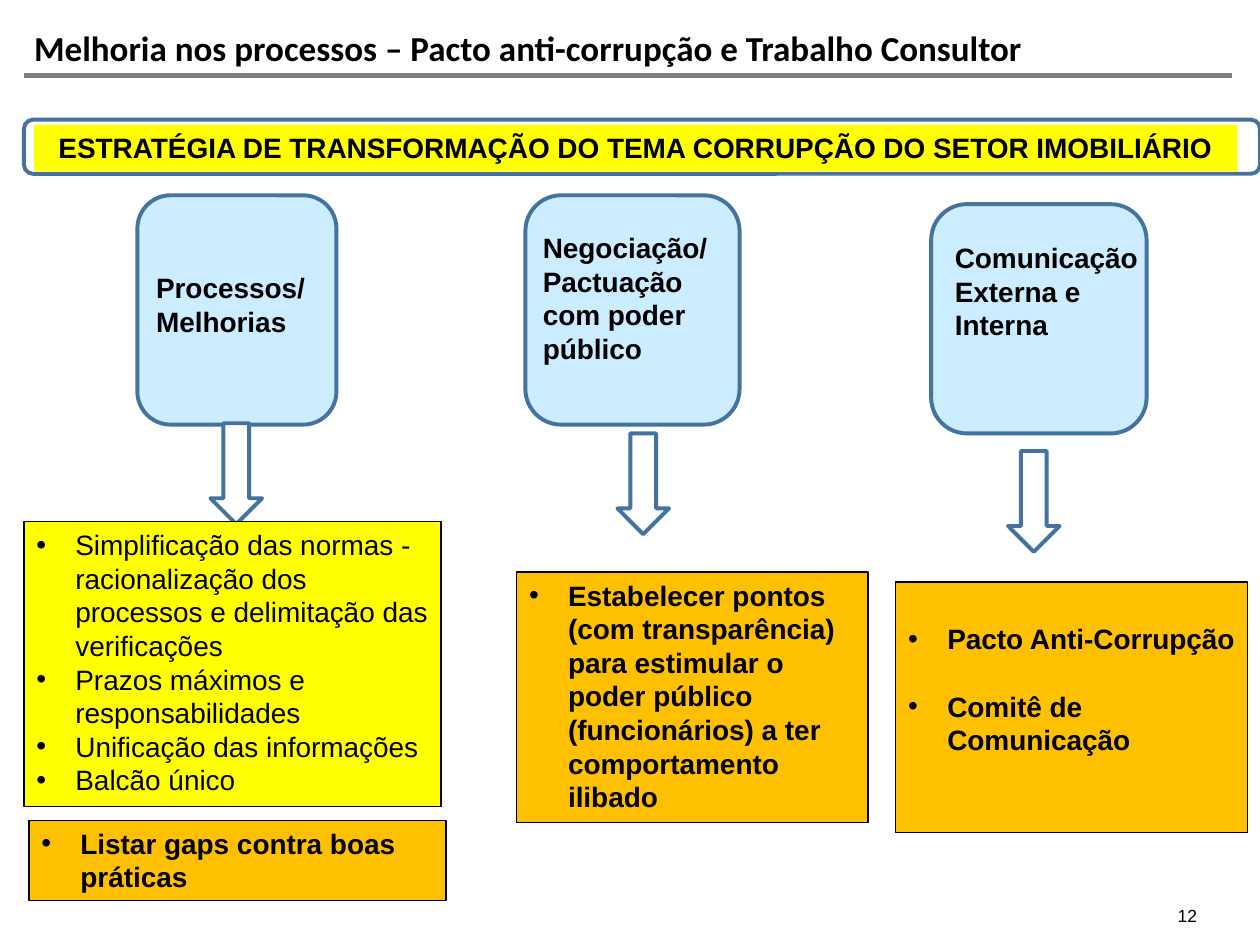
from lxml.etree import SubElement
from pptx import Presentation
from pptx.dml.color import RGBColor
from pptx.enum.shapes import MSO_CONNECTOR as Line, MSO_SHAPE as Shape
from pptx.enum.text import MSO_ANCHOR as Anchor, PP_ALIGN as Align
from pptx.oxml.ns import qn
from pptx.util import Inches, Pt

COLORS = {"black": "000000", "white": "FFFFFF", "gray": "808080", "edge": "43739E",
          "sky": "CCECFF", "yellow": "FFFF00", "orange": "FFC000"}
TITLE = "Melhoria nos processos – Pacto anti-corrupção e Trabalho Consultor"
BANNER = "ESTRATÉGIA DE TRANSFORMAÇÃO DO TEMA CORRUPÇÃO DO SETOR IMOBILIÁRIO"
PAGE_NUMBER = "12"
CARD_HEIGHT = 1.82
ARROW_SIZE = (0.41, 0.8)
INDENT = 0.31
LINE_GAP = 19.2

PILLARS = [
    {"label": "Processos/ Melhorias", "card": (1.09, 1.55, 1.58),
     "label_at": (1.14, 2.1, 1.62, 0.64), "arrow": (1.67, 3.36)},
    {"label": "Negociação/ Pactuação com poder público", "card": (4.17, 1.55, 1.7),
     "label_at": (4.21, 1.78, 1.57, 1.18), "arrow": (4.9, 3.44)},
    {"label": "Comunicação Externa e Interna", "card": (7.39, 1.62, 1.71),
     "label_at": (7.48, 1.86, 1.67, 0.91), "arrow": (8, 3.58)},
]
ACTIONS = [
    {"at": (0.19, 4.14, 3.31, 2.26), "fill": "yellow", "bold": False, "items": [
        "Simplificação das normas - racionalização dos processos e delimitação das verificações",
        "Prazos máximos e responsabilidades",
        "Unificação das informações",
        "Balcão único"]},
    {"at": (4.1, 4.54, 2.79, 1.99), "fill": "orange", "bold": True, "items": [
        "Estabelecer pontos (com transparência) para estimular o poder público "
        "(funcionários) a ter comportamento ilibado"]},
    {"at": (7.11, 4.62, 2.79, 1.99), "fill": "orange", "bold": True,
     "top": 0.05 + LINE_GAP / 72, "gap": LINE_GAP,
     "items": ["Pacto Anti-Corrupção", "Comitê de Comunicação"]},
    {"at": (0.23, 6.51, 3.31, 0.64), "fill": "orange", "bold": True,
     "items": ["Listar gaps contra boas práticas"]},
]


def color(name):
    return RGBColor.from_string(COLORS[name])


def add_box(page, kind, at, fill, edge=None, width=2.25):
    box = page.shapes.add_shape(kind, *map(Inches, at))
    box.shadow.inherit = False
    box.fill.solid()
    box.fill.fore_color.rgb = color(fill)
    if edge:
        box.line.color.rgb = color(edge)
        box.line.width = Pt(width)
    else:
        box.line.fill.background()
    return box


def write(box, items, size=16, bold=True, font="Arial", align=Align.LEFT,
          bullets=False, gap=0, inset=None, anchor=Anchor.TOP):
    frame = box.text_frame
    frame.word_wrap = True
    frame.vertical_anchor = anchor
    if inset is not None:
        frame.margin_left = frame.margin_right = Inches(inset)
        frame.margin_top = frame.margin_bottom = Inches(inset)
    for index, text in enumerate(items):
        para = frame.add_paragraph() if index else frame.paragraphs[0]
        para.alignment = align
        para.space_before = Pt(gap if index else 0)
        if bullets:
            props = para._p.get_or_add_pPr()
            props.set("marL", str(Inches(INDENT)))
            props.set("indent", str(-Inches(INDENT)))
            SubElement(props, qn("a:buFont"), typeface="Arial")
            SubElement(props, qn("a:buChar"), char="•")
        span = para.add_run()
        span.text = text
        span.font.name = font
        span.font.size = Pt(size)
        span.font.bold = bold
        span.font.color.rgb = color("black")


def add_label(page, at, text, **style):
    write(page.shapes.add_textbox(*map(Inches, at)), [text], **style)


def add_header(page):
    rule = page.shapes.add_connector(Line.STRAIGHT, *map(Inches, (0.19, 0.6, 9.78, 0.6)))
    rule.line.color.rgb = color("gray")
    rule.line.width = Pt(3.2)
    SubElement(rule._element.spPr, qn("a:effectLst"))
    title = page.shapes.title
    title.left, title.top, title.width, title.height = map(Inches, (0.27, 0.25, 9.51, 0.35))
    write(title, [TITLE], size=20, font="Calibri", inset=0)
    title.text_frame.paragraphs[0].line_spacing = 0.9
    add_box(page, Shape.ROUNDED_RECTANGLE, (0.19, 0.95, 9.81, 0.43), "white", "edge")
    banner = add_box(page, Shape.RECTANGLE, (0.27, 0.99, 9.55, 0.37), "yellow")
    write(banner, [BANNER], align=Align.CENTER)


def main():
    deck = Presentation()
    deck.slide_width, deck.slide_height = Inches(10), Inches(7.5)
    page = deck.slides.add_slide(deck.slide_layouts[5])
    add_header(page)
    for pillar in PILLARS:
        add_box(page, Shape.ROUNDED_RECTANGLE, (*pillar["card"], CARD_HEIGHT), "sky", "edge")
        add_label(page, pillar["label_at"], pillar["label"])
        add_box(page, Shape.DOWN_ARROW, (*pillar["arrow"], *ARROW_SIZE), "white", "edge")
    for action in ACTIONS:
        box = add_box(page, Shape.RECTANGLE, action["at"], action["fill"], "black", 0.75)
        write(box, action["items"], bold=action["bold"], bullets=True, gap=action.get("gap", 0))
        box.text_frame.margin_top = Inches(action.get("top", 0.05))
    add_label(page, (7.16, 7.18, 2.34, 0.17), PAGE_NUMBER, size=10, bold=False,
              align=Align.RIGHT, inset=0, anchor=Anchor.BOTTOM)
    deck.save("out.pptx")


if __name__ == "__main__":
    main()
